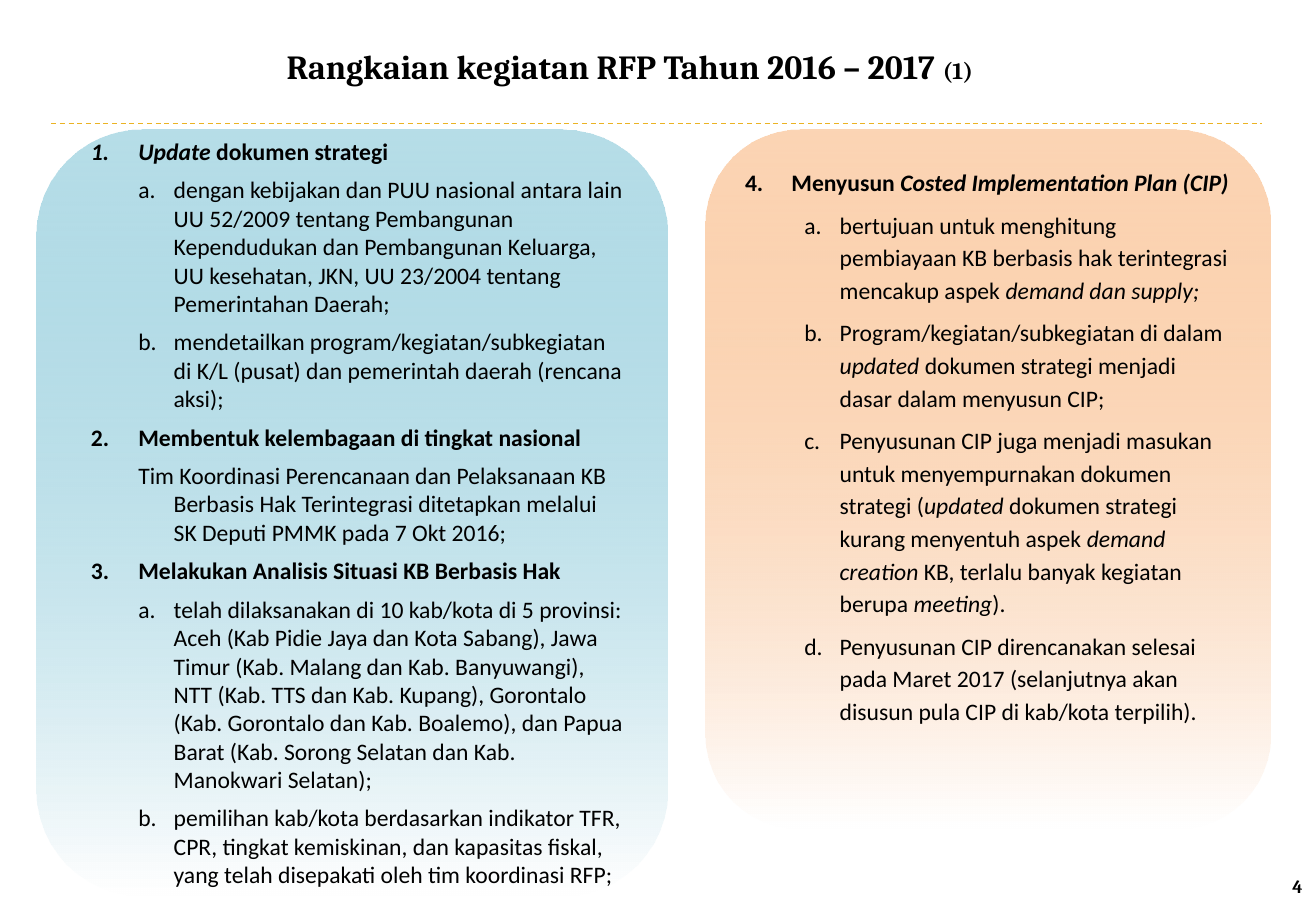
from lxml.etree import SubElement
from pptx import Presentation
from pptx.dml.color import RGBColor
from pptx.enum.dml import MSO_LINE
from pptx.enum.shapes import MSO_CONNECTOR, MSO_SHAPE
from pptx.enum.text import MSO_ANCHOR, MSO_AUTO_SIZE, PP_ALIGN
from pptx.oxml.ns import qn
from pptx.util import Cm, Pt


def rgb(code):
    return RGBColor.from_string(code)


def style(run, face, size, bold=True, slant=False):
    font = run.font
    font.name, font.size = face, Pt(size)
    font.bold, font.italic = bold, slant
    font.color.rgb = rgb("000000")


deck = Presentation()
deck.slide_width, deck.slide_height = Cm(27.53), Cm(19.05)
slide = deck.slides.add_slide(deck.slide_layouts[5])
shapes = slide.shapes

# Title
title = shapes.title
title.left, title.top = Cm(5.74), Cm(0.71)
title.width, title.height = Cm(15.09), Cm(1.24)
frame = title.text_frame
frame.auto_size = MSO_AUTO_SIZE.NONE
frame.word_wrap = False
frame.vertical_anchor = MSO_ANCHOR.TOP
para = frame.paragraphs[0]
para.alignment = PP_ALIGN.JUSTIFY
para.line_spacing, para.space_after = 1.15, Pt(6)
for text, size in (("Rangkaian kegiatan RFP Tahun 2016 – 2017 ", 20), ("(1)", 14)):
    run = para.add_run()
    run.text = text
    style(run, "Cambria", size)

# Dashed rule below the title
rule = shapes.add_connector(MSO_CONNECTOR.STRAIGHT, Cm(1.07), Cm(2.59), Cm(26.39), Cm(2.59))
rule.line.color.rgb = rgb("EBB323")
rule.line.width = Pt(0.75)
rule.line.dash_style = MSO_LINE.DASH
SubElement(rule._element.spPr, qn("a:effectLst"))

# Page number
page = shapes.add_textbox(Cm(24.38), Cm(18.03), Cm(3.12), Cm(1.02))
frame = page.text_frame
frame.word_wrap = True
frame.vertical_anchor = MSO_ANCHOR.MIDDLE
frame.text = "4"
frame.paragraphs[0].alignment = PP_ALIGN.RIGHT
style(frame.paragraphs[0].runs[0], "Cambria", 11)

# Panel text: a number marks a heading, "a" a lettered item, "" a plain one;
# asterisks enclose italics
strategy = [
    (1, "*Update* dokumen strategi"),
    ("a", "dengan kebijakan dan PUU nasional antara lain UU 52/2009 tentang "
          "Pembangunan Kependudukan dan Pembangunan Keluarga, UU kesehatan, JKN, "
          "UU 23/2004 tentang Pemerintahan Daerah;"),
    ("a", "mendetailkan program/kegiatan/subkegiatan di K/L (pusat) dan "
          "pemerintah daerah (rencana aksi);"),
    (2, "Membentuk kelembagaan di tingkat nasional"),
    ("", "Tim Koordinasi Perencanaan dan Pelaksanaan KB Berbasis Hak Terintegrasi "
         "ditetapkan melalui SK Deputi PMMK pada 7 Okt 2016;"),
    (3, "Melakukan Analisis Situasi KB Berbasis Hak"),
    ("a", "telah dilaksanakan di 10 kab/kota di 5 provinsi: Aceh (Kab Pidie Jaya "
          "dan Kota Sabang), Jawa Timur (Kab. Malang dan Kab. Banyuwangi), NTT "
          "(Kab. TTS dan Kab. Kupang), Gorontalo (Kab. Gorontalo dan Kab. Boalemo), "
          "dan Papua Barat (Kab. Sorong Selatan dan Kab. Manokwari Selatan);"),
    ("a", "pemilihan kab/kota berdasarkan indikator TFR, CPR, tingkat kemiskinan, "
          "dan kapasitas fiskal, yang telah disepakati oleh tim koordinasi RFP;"),
]
costing = [
    (4, "Menyusun *Costed Implementation Plan (CIP)*"),
    ("a", "bertujuan untuk menghitung pembiayaan KB berbasis hak terintegrasi "
          "mencakup aspek *demand dan supply;*"),
    ("a", "Program/kegiatan/subkegiatan di dalam *updated *dokumen strategi "
          "menjadi dasar dalam menyusun CIP;"),
    ("a", "Penyusunan CIP juga menjadi masukan untuk menyempurnakan dokumen "
          "strategi (*updated *dokumen strategi kurang menyentuh aspek "
          "*demand creation *KB, terlalu banyak kegiatan berupa *meeting*)."),
    ("a", "Penyusunan CIP direncanakan selesai pada Maret 2017 (selanjutnya akan "
          "disusun pula CIP di kab/kota terpilih)."),
]

# Panels: left, width, height, colour, anchor, line spacing, heading indent, text
panels = [
    (0.76, 13.2, 16, "4BACC6", MSO_ANCHOR.MIDDLE, 1, (1.24, 0.99), strategy),
    (14.76, 11.82, 14.6, "F79646", MSO_ANCHOR.TOP, 1.15, (0.97, 0.97), costing),
]
for left, width, height, tint, anchor, space, inset, items in panels:
    panel = shapes.add_shape(MSO_SHAPE.ROUNDED_RECTANGLE,
                             Cm(left), Cm(2.72), Cm(width), Cm(height))
    panel.adjustments[0] = 1 / 6
    panel.shadow.inherit = False
    panel.line.fill.background()

    # Fade from a translucent tint down to white
    panel.fill.gradient()
    panel.fill.gradient_angle = 270
    stops = panel.fill.gradient_stops
    for stop, code, place in zip(stops, (tint, "FFFFFF"), (0, 1)):
        stop.color.rgb = rgb(code)
        stop.position = place
    first = panel._element.spPr.find(".//" + qn("a:srgbClr"))
    SubElement(first, qn("a:alpha"), val="40000")

    frame = panel.text_frame
    frame.word_wrap = True
    frame.vertical_anchor = anchor
    for index, (mark, text) in enumerate(items):
        para = frame.add_paragraph() if index else frame.paragraphs[0]
        head = isinstance(mark, int)
        para.level = 0 if head else 1
        para.alignment = PP_ALIGN.LEFT
        para.line_spacing, para.space_after = space, Pt(6)

        # Hanging indent and automatic number
        margin, hang = inset if head else (1.98, 0.74)
        props = para._p.get_or_add_pPr()
        props.set("marL", str(Cm(margin)))
        props.set("indent", str(-Cm(hang)))
        if head:
            SubElement(props, qn("a:buAutoNum"), type="arabicPeriod", startAt=str(mark))
        elif mark:
            SubElement(props, qn("a:buAutoNum"), type="alphaLcPeriod")
        else:
            SubElement(props, qn("a:buNone"))

        for turn, piece in enumerate(text.split("*")):
            if piece:
                run = para.add_run()
                run.text = piece
                style(run, "Calibri", 14, head, turn % 2 == 1)

deck.save("out.pptx")
